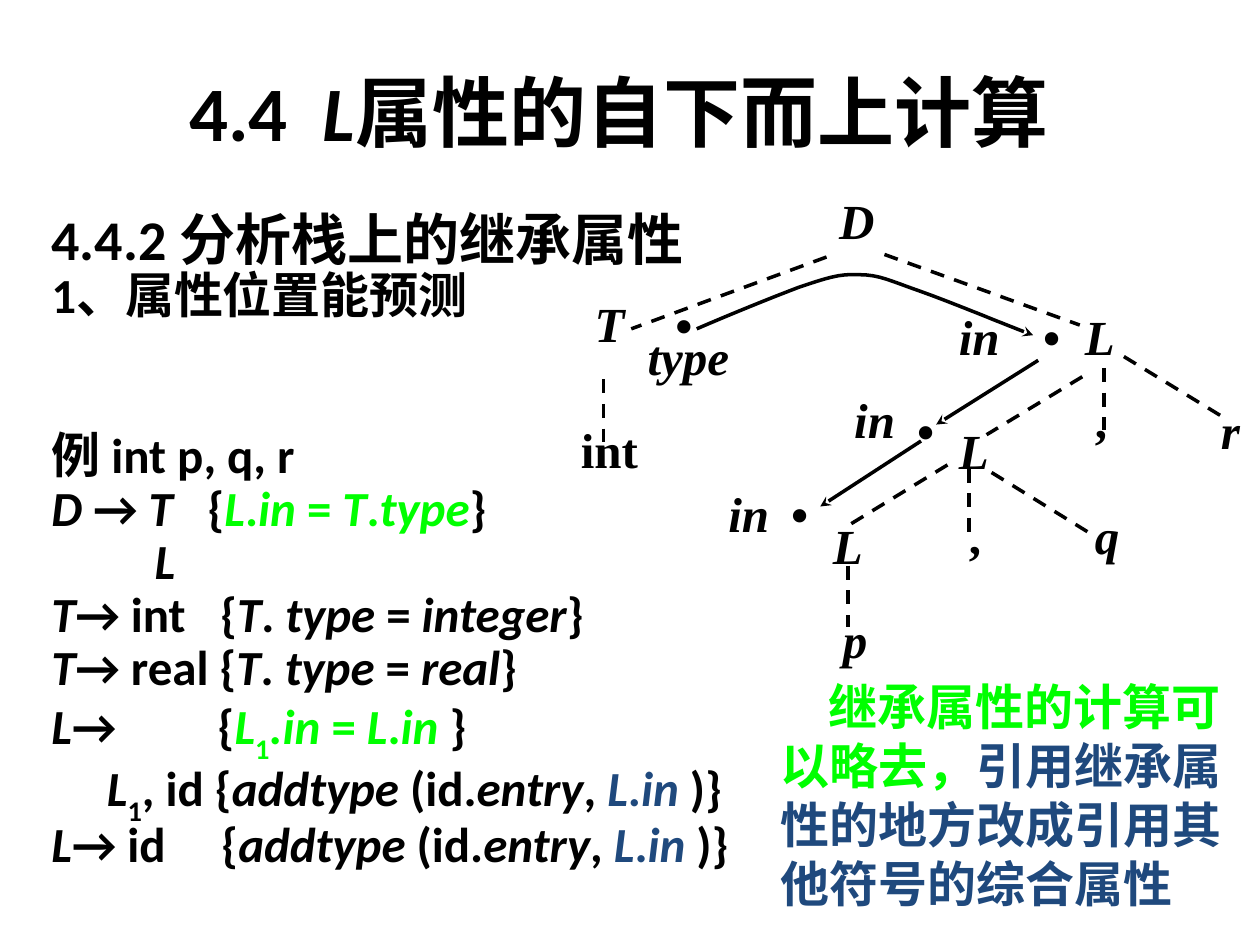
"""Build the slide on bottom-up evaluation of L-attributes with its annotated parse tree."""
from dataclasses import dataclass

from lxml import etree
from pptx import Presentation
from pptx.dml.color import RGBColor
from pptx.enum.dml import MSO_LINE
from pptx.enum.shapes import MSO_CONNECTOR
from pptx.enum.text import MSO_ANCHOR, PP_ALIGN
from pptx.oxml.ns import qn
from pptx.util import Inches, Pt


@dataclass(frozen=True)
class Theme:
    black: RGBColor = RGBColor(0, 0, 0)
    green: RGBColor = RGBColor(0, 255, 0)
    blue: RGBColor = RGBColor(0x1F, 0x49, 0x7D)
    sans: str = "Calibri"
    serif: str = "Times New Roman"
    title: int = 44
    heading: int = 32
    body: int = 28
    line: int = 2


THEME = Theme()


def add_text(shapes, box, paragraphs, size, font, inset=(0.1, 0.05)):
    """Add a text box; run style letters: i italic, g green, b blue, s subscript."""
    frame = shapes.add_textbox(*map(Inches, box)).text_frame
    frame.word_wrap = True
    frame.margin_left = frame.margin_right = Inches(inset[0])
    frame.margin_top = frame.margin_bottom = Inches(inset[1])
    for number, runs in enumerate(paragraphs):
        paragraph = frame.add_paragraph() if number else frame.paragraphs[0]
        for text, style in runs:
            run = paragraph.add_run()
            run.text = text
            run.font.name, run.font.size, run.font.bold = font, Pt(size), True
            run.font.italic = "i" in style
            run.font.color.rgb = (THEME.green if "g" in style else
                                  THEME.blue if "b" in style else THEME.black)
            if "s" in style:
                run.font._element.set("baseline", "-30000")
    return frame


def style_line(shape, dashed=False):
    """Draw a black line, dashed for tree edges and arrowed for attribute flow."""
    shape.line.color.rgb = THEME.black
    shape.line.width = Pt(THEME.line)
    if dashed:
        shape.line.dash_style = MSO_LINE.DASH
    else:
        etree.SubElement(shape.line._get_or_add_ln(), qn("a:tailEnd"), type="stealth")
    etree.SubElement(shape._element.spPr, qn("a:effectLst"))


prs = Presentation()
prs.slide_width, prs.slide_height = Inches(10), Inches(7.5)
slide = prs.slides.add_slide(prs.slide_layouts[6])

title = add_text(slide.shapes, (0.33, 0.25, 9.17, 1.25),
                 [[("4.4  ", ""), ("L", "i"), ("属性的自下而上计算", "")]],
                 THEME.title, THEME.sans)
title.vertical_anchor = MSO_ANCHOR.MIDDLE
title.paragraphs[0].alignment = PP_ALIGN.CENTER

add_type = [("addtype", "i"), (" (id.", ""), ("entry", "i"), (", ", ""),
            ("L", "ib"), (".", "b"), ("in", "ib"), (" )}", "")]
grammar = [
    [("4.4.2 分析栈上的继承属性", "")],
    [("1、属性位置能预测", "")],
    [("例 int p, q, r", "")],
    [("D ", "i"), ("→ ", ""), ("T", "i"), ("\t{", ""), ("L", "ig"), (".", "g"), ("in", "ig"),
     (" = ", "g"), ("T", "ig"), (".", "g"), ("type", "ig"), ("}", "")],
    [("L", "i")],
    [("T", "i"), ("→ int\t{", ""), ("T", "i"), (".", ""), (" type", "i"), (" = ", ""),
     ("integer", "i"), ("}", "")],
    [("T", "i"), ("→ real {", ""), ("T", "i"), (".", ""), (" type", "i"), (" = ", ""),
     ("real", "i"), ("}", "")],
    [("L", "i"), ("→\t{", ""), ("L", "ig"), ("1", "gs"), (".in", "ig"), (" = ", "g"),
     ("L", "ig"), (".", "g"), ("in", "ig"), (" }", "")],
    [("L", "i"), ("1", "s"), (", id {", "")] + add_type,
    [("L", "i"), ("→ id\t{", "")] + add_type,
]
body = add_text(slide.shapes, (0.31, 1.57, 9.37, 5.51), grammar, THEME.body, THEME.sans)
body.paragraphs[0].runs[0].font.size = Pt(THEME.heading)
for paragraph in body.paragraphs[1:]:
    paragraph.line_spacing = 0.9
body.paragraphs[2].space_before = Pt(61)
for row, indent in {4: 0.82, 8: 0.44}.items():
    body.paragraphs[row]._p.get_or_add_pPr().set("marL", str(Inches(indent)))
for row, stop in {3: 1.24, 5: 1.34, 7: 1.32, 9: 1.35}.items():
    tabs = etree.SubElement(body.paragraphs[row]._p.get_or_add_pPr(), qn("a:tabLst"))
    etree.SubElement(tabs, qn("a:tab"), pos=str(Inches(stop)), algn="l")

tree = slide.shapes.add_group_shape().shapes
labels = [
    ("D", 6.64, 1.5, 0.33), ("T", 4.7, 2.32, 0.33), ("int", 4.59, 3.32, 0.5),
    ("L", 8.59, 2.42, 0.33), ("L", 7.59, 3.33, 0.33), ("L", 6.59, 4.08, 0.33),
    (",", 8.67, 3.08, 0.33), (",", 7.67, 4, 0.33),
    ("r", 9.67, 3.17, 0.33), ("q", 8.67, 4, 0.5), ("p", 6.67, 4.83, 0.33),
    ("type", 5.12, 2.58, 0.81),
    ("in", 7.59, 2.42, 0.42), ("in", 6.76, 3.08, 0.43), ("in", 5.76, 3.83, 0.55),
    ("•", 5.34, 2.33, 0.33), ("•", 8.26, 2.42, 0.33),
    ("•", 7.26, 3.17, 0.33), ("•", 6.26, 3.83, 0.33),
]
for text, left, top, width in labels:
    style = "" if text in ("int", ",", "•") else "i"
    add_text(tree, (left, top, width, 0.63), [[(text, style)]],
             THEME.body, THEME.serif, inset=(0.02, 0.01))

tree_edges = [
    (6.56, 2.04, 5.01, 2.61), (7.02, 2.02, 8.57, 2.58), (4.79, 3.01, 4.79, 3.51),
    (8.59, 2.99, 7.83, 3.45), (8.76, 2.92, 8.76, 3.41), (8.92, 2.83, 9.69, 3.3),
    (7.52, 3.69, 6.75, 4.16), (7.69, 3.72, 7.69, 4.22), (7.87, 3.75, 8.63, 4.22),
    (6.73, 4.49, 6.73, 4.98),
]
flow_arrows = [(8.24, 2.86, 7.43, 3.37), (7.31, 3.5, 6.51, 4.02)]
for ends in tree_edges + flow_arrows:
    connector = tree.add_connector(MSO_CONNECTOR.STRAIGHT, *map(Inches, ends))
    style_line(connector, dashed=ends in tree_edges)

start = (5.53, 2.61)
curves = [
    ((5.83, 2.48), (6.13, 2.36), (6.34, 2.28)),
    ((6.55, 2.21), (6.66, 2.17), (6.82, 2.18)),
    ((6.98, 2.18), (7.07, 2.23), (7.3, 2.31)),
    ((7.53, 2.39), (8.01, 2.59), (8.2, 2.66)),
]
steps = 8
arc = tree.build_freeform(Inches(start[0]), Inches(start[1]))
points = []
for control_1, control_2, end in curves:
    for t in (step / steps for step in range(1, steps + 1)):
        weights = ((1 - t) ** 3, 3 * t * (1 - t) ** 2, 3 * t ** 2 * (1 - t), t ** 3)
        knots = (start, control_1, control_2, end)
        points.append(tuple(Inches(sum(w * k[axis] for w, k in zip(weights, knots)))
                            for axis in (0, 1)))
    start = end
arc.add_line_segments(points, close=False)
type_flow = arc.convert_to_shape()
type_flow.fill.background()
style_line(type_flow)

note = add_text(slide.shapes, (6.1, 5.32, 3.9, 1.89),
                [[("继承属性的计算可以略去，", "g"),
                  ("引用继承属性的地方改成引用其他符号的综合属性", "b")]],
                THEME.body, THEME.serif)
note.paragraphs[0]._p.get_or_add_pPr().set("indent", str(Inches(0.38)))

prs.save("out.pptx")
